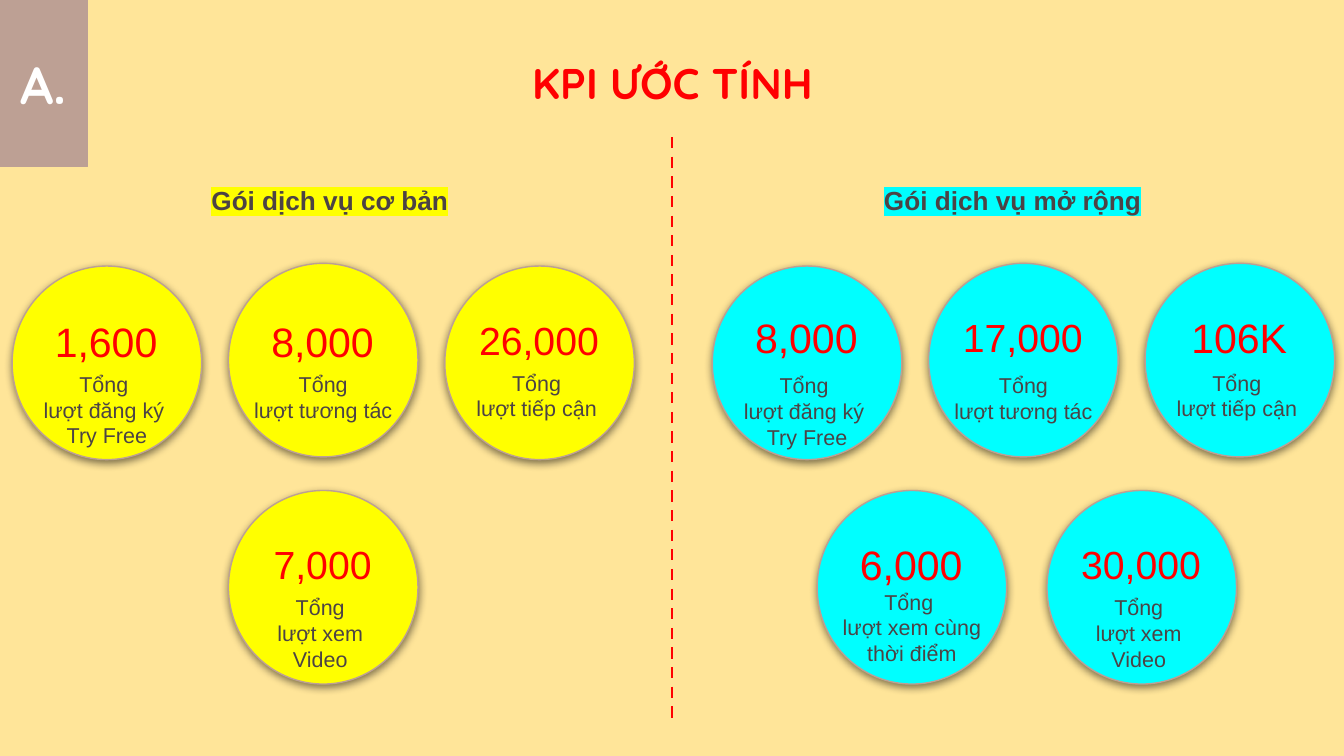
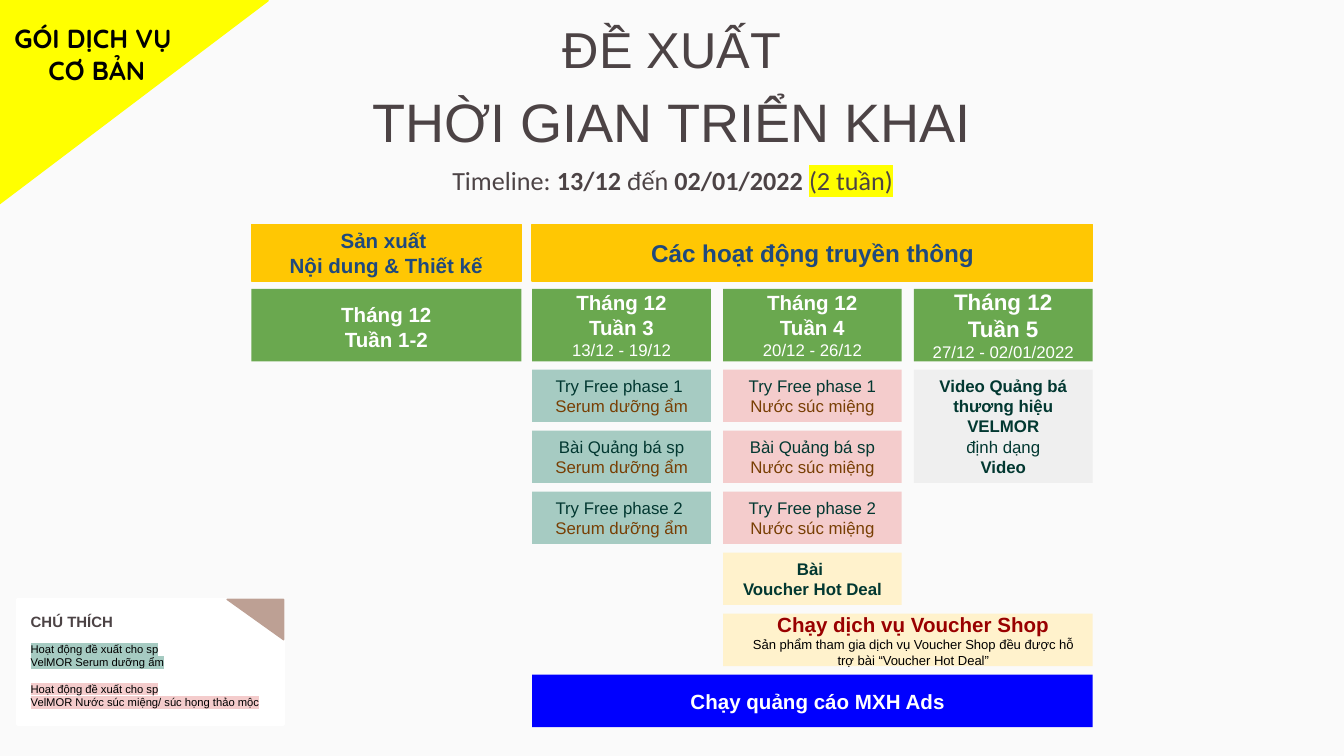
from dataclasses import dataclass
from typing import NamedTuple, Optional

from lxml import etree
from pptx import Presentation
from pptx.dml.color import RGBColor
from pptx.enum.dml import MSO_LINE
from pptx.enum.shapes import MSO_CONNECTOR, MSO_SHAPE
from pptx.enum.text import MSO_ANCHOR, MSO_AUTO_SIZE, PP_ALIGN
from pptx.oxml.ns import qn
from pptx.util import Inches, Pt

COLORS = {
    "cream": "FFE599", "paper": "FAFAFA", "taupe": "BDA094", "ink": "4C4345",
    "red": "FF0000", "yellow": "FFFF00", "cyan": "00FFFF", "white": "FFFFFF",
    "black": "000000", "gold": "FFC703", "navy": "1F497D", "green": "6AA84F",
    "teal": "A6CBC2", "pink": "F4CCCC", "gray": "EFEFEF", "sand": "FFF2CC",
    "forest": "023831", "brown": "783F04", "maroon": "990000", "blue": "0000FF",
}
HEADING_FONT = "Quicksand"
INSET = Inches(0.1)

CIRCLE_WIDTH, CIRCLE_HEIGHT = 1.41, 1.44
CIRCLE_STEP = 1.61

COLUMN_LEFT, COLUMN_WIDTH, COLUMN_STEP = 3.96, 1.33, 1.42
ROW_TOP, ROW_BOTTOM, ROW_COUNT, ROW_HEIGHT = 2.75, 5.02, 6, 0.39
ROW_STEP = (ROW_BOTTOM - ROW_TOP) / (ROW_COUNT - 1)
PRODUCTION_LEFT, PRODUCTION_WIDTH = 1.87, 2.01
BANNER_TOP, BANNER_HEIGHT = 1.67, 0.42
WEEK_TOP, WEEK_HEIGHT = 2.15, 0.54


class Box(NamedTuple):
    left: float
    top: float
    width: float
    height: float

    def lengths(self) -> list:
        return [Inches(value) for value in self]


@dataclass
class Line:
    """One paragraph of text with its look."""
    text: str
    size: float
    color: str
    bold: bool = False
    font: str = "Arial"
    highlight: Optional[str] = None
    space_before: float = 0
    spacing: Optional[float] = None
    indent: float = 0


@dataclass
class Kpi:
    """A circle with a value and a caption."""
    left: float
    top: float
    fill: str
    value: str
    value_size: float
    value_top: float
    caption: str
    caption_top: float


def rgb(color: str) -> RGBColor:
    return RGBColor.from_string(COLORS[color])


def format_run(run, line: Line) -> None:
    run.font.size = Pt(line.size)
    run.font.bold = line.bold
    run.font.name = line.font
    run.font.color.rgb = rgb(line.color)
    if line.highlight:
        highlight = etree.Element(qn("a:highlight"))
        etree.SubElement(highlight, qn("a:srgbClr"), val=COLORS[line.highlight])
        run.font._element.find(qn("a:solidFill")).addnext(highlight)


def write(shape, lines: list[Line], anchor=MSO_ANCHOR.MIDDLE, align=PP_ALIGN.CENTER) -> None:
    frame = shape.text_frame
    frame.text = "\n".join(line.text for line in lines)
    frame.word_wrap = True
    frame.auto_size = MSO_AUTO_SIZE.NONE
    frame.vertical_anchor = anchor
    frame.margin_left = frame.margin_right = INSET
    frame.margin_top = frame.margin_bottom = INSET
    for paragraph, line in zip(frame.paragraphs, lines):
        paragraph.alignment = align
        if line.space_before:
            paragraph.space_before = Pt(line.space_before)
        if line.spacing:
            paragraph.line_spacing = line.spacing
        if line.indent:
            properties = paragraph._p.get_or_add_pPr()
            properties.set("marL", str(Inches(line.indent)))
            properties.set("indent", "0")
        for run in paragraph.runs:
            format_run(run, line)


def add_text(slide, box: Box, lines: list[Line], anchor=MSO_ANCHOR.TOP):
    shape = slide.shapes.add_textbox(*box.lengths())
    write(shape, lines, anchor)
    return shape


def add_block(slide, box: Box, fill: str, lines: Optional[list[Line]] = None,
              border: Optional[str] = None, border_width: float = 0.75,
              kind=MSO_SHAPE.RECTANGLE, rotation: float = 0, anchor=MSO_ANCHOR.MIDDLE):
    shape = slide.shapes.add_shape(kind, *box.lengths())
    shape.shadow.inherit = False
    shape.rotation = rotation
    shape.fill.solid()
    shape.fill.fore_color.rgb = rgb(fill)
    if border:
        shape.line.color.rgb = rgb(border)
        shape.line.width = Pt(border_width)
    else:
        shape.line.fill.background()
    if lines:
        write(shape, lines, anchor)
    return shape


def add_slide(presentation, background: str, title_box: Box, title: list[Line]):
    slide = presentation.slides.add_slide(presentation.slide_layouts[5])
    slide.background.fill.solid()
    slide.background.fill.fore_color.rgb = rgb(background)
    shape = slide.shapes.title
    shape.left, shape.top, shape.width, shape.height = title_box.lengths()
    write(shape, title)
    return slide


def add_soft_shadow(shape) -> None:
    effects = shape._element.spPr.find(qn("a:effectLst"))
    shadow = etree.SubElement(effects, qn("a:outerShdw"), blurRad=str(Pt(4.5)),
                              dist=str(Pt(1.5)), dir="5400000", algn="bl", rotWithShape="0")
    color = etree.SubElement(shadow, qn("a:srgbClr"), val=COLORS["black"])
    etree.SubElement(color, qn("a:alpha"), val="50000")


def add_kpi(slide, kpi: Kpi) -> None:
    circle = add_block(slide, Box(kpi.left, kpi.top, CIRCLE_WIDTH, CIRCLE_HEIGHT),
                       kpi.fill, border="taupe", kind=MSO_SHAPE.OVAL)
    add_soft_shadow(circle)
    add_text(slide, Box(kpi.left + 0.09, kpi.value_top, 1.22, 0.57),
             [Line(kpi.value, kpi.value_size, "red")], MSO_ANCHOR.MIDDLE)
    captions = [Line(text, 11.5, "ink") for text in kpi.caption.split("\n")]
    add_text(slide, Box(kpi.left, kpi.caption_top, CIRCLE_WIDTH,
                        0.59 if "\nlượt t" in kpi.caption else 0.78), captions)


def build_kpi_slide(presentation) -> None:
    slide = add_slide(presentation, "cream", Box(3.42, 0.21, 3.17, 0.81),
                      [Line("KPI ƯỚC TÍNH", 23, "red", True, HEADING_FONT)])
    add_block(slide, Box(0, 0, 0.65, 1.24), "taupe",
              [Line("A.", 28, "white", True, HEADING_FONT)], border="taupe")
    for left, text, color in ((1.02, "Gói dịch vụ cơ bản", "yellow"),
                              (6.1, "Gói dịch vụ mở rộng", "cyan")):
        add_text(slide, Box(left, 1.27, 2.87, 0.44),
                 [Line(text, 14, "ink", True, highlight=color)])

    divider = slide.shapes.add_connector(MSO_CONNECTOR.STRAIGHT, Inches(5), Inches(1.02),
                                         Inches(5), Inches(5.34))
    divider.line.color.rgb = rgb("red")
    divider.line.width = Pt(1.5)
    divider.line.dash_style = MSO_LINE.DASH
    etree.SubElement(divider._element.spPr, qn("a:effectLst"))

    signups = "Tổng \nlượt đăng ký \nTry Free"
    interactions = "Tổng\nlượt tương tác"
    reach = "Tổng \nlượt tiếp cận "
    video_views = "Tổng \nlượt xem \nVideo "
    live_views = "Tổng \nlượt xem cùng thời điểm"
    basic, extended = 0.09, 5.3
    for kpi in (
        Kpi(basic, 1.98, "yellow", "1,600", 22, 2.25, signups, 2.66),
        Kpi(basic + CIRCLE_STEP, 1.96, "yellow", "8,000", 22, 2.25, interactions, 2.66),
        Kpi(basic + 2 * CIRCLE_STEP, 1.98, "yellow", "26,000", 21, 2.24, reach, 2.65),
        Kpi(basic + CIRCLE_STEP, 3.65, "yellow", "7,000", 21, 3.91, video_views, 4.32),
        Kpi(extended, 1.98, "cyan", "8,000", 22, 2.22, signups, 2.67),
        Kpi(extended + CIRCLE_STEP, 1.96, "cyan", "17,000", 21, 2.22, interactions, 2.67),
        Kpi(extended + 2 * CIRCLE_STEP, 1.96, "cyan", "106K", 22, 2.22, reach, 2.65),
        Kpi(6.08, 3.65, "cyan", "6,000", 22, 3.91, live_views, 4.28),
        Kpi(7.79, 3.65, "cyan", "30,000", 21, 3.91, video_views, 4.32),
    ):
        add_kpi(slide, kpi)


def schedule_box(column: int, row: int, columns: int = 1, rows: int = 1) -> Box:
    return Box(COLUMN_LEFT + column * COLUMN_STEP, ROW_TOP + row * ROW_STEP,
               COLUMN_WIDTH + (columns - 1) * COLUMN_STEP,
               ROW_HEIGHT + (rows - 1) * ROW_STEP)


def add_headers(slide) -> None:
    add_block(slide, Box(PRODUCTION_LEFT, BANNER_TOP, PRODUCTION_WIDTH, BANNER_HEIGHT), "gold",
              [Line("Sản xuất ", 11, "navy", True),
               Line("Nội dung & Thiết kế", 11, "navy", True)], border="gold")
    add_block(slide, Box(COLUMN_LEFT, BANNER_TOP, schedule_box(0, 0, 3).width, BANNER_HEIGHT),
              "gold", [Line("Các hoạt động truyền thông", 13, "navy", True)], border="gold")
    add_block(slide, Box(PRODUCTION_LEFT, WEEK_TOP, PRODUCTION_WIDTH, WEEK_HEIGHT), "green",
              [Line(text, 11, "white", True) for text in ("Tháng 12", "Tuần 1-2")],
              anchor=MSO_ANCHOR.TOP)
    weeks = (("Tuần 3", "13/12 - 19/12", 11), ("Tuần 4", "20/12 - 26/12", 11),
             ("Tuần 5", "27/12 - 02/01/2022", 12))
    for column, (week, dates, size) in enumerate(weeks):
        add_block(slide, Box(schedule_box(column, 0).left, WEEK_TOP, COLUMN_WIDTH, WEEK_HEIGHT),
                  "green", [Line("Tháng 12", size, "white", True),
                            Line(week, size, "white", True), Line(dates, 9, "white")])


def add_activities(slide) -> None:
    products = (
        ("Serum dưỡng ẩm", "teal", ("Try Free phase 1 ", "Bài Quảng bá sp", "Try Free phase 2 ")),
        ("Nước súc miệng", "pink", ("Try Free phase 1", "Bài Quảng bá sp", "Try Free phase 2")),
    )
    for column, (product, fill, activities) in enumerate(products):
        for row, activity in enumerate(activities):
            add_block(slide, schedule_box(column, row), fill,
                      [Line(activity, 9, "forest"), Line(product, 9, "brown")])
    add_block(slide, schedule_box(2, 0, rows=2), "gray",
              [Line("Video Quảng bá thương hiệu VELMOR", 9, "forest", True),
               Line("định dạng", 9, "forest"), Line("Video", 9, "forest", True)])
    add_block(slide, schedule_box(1, 3), "sand",
              [Line("Bài ", 9, "forest", True), Line("Voucher Hot Deal", 9, "forest", True)])
    add_block(slide, schedule_box(1, 4, columns=2), "sand",
              [Line("Chạy dịch vụ Voucher Shop", 11, "maroon", True, indent=0.08),
               Line("Sản phẩm tham gia dịch vụ Voucher Shop đều được hỗ trợ bài "
                    "“Voucher Hot Deal”", 7, "black", indent=0.08)])
    add_block(slide, schedule_box(0, 5, columns=3), "blue",
              [Line("Chạy quảng cáo MXH Ads", 11, "white", True, indent=0.08)])


def add_legend(slide) -> None:
    legend = add_block(slide, Box(0.13, 4.46, 1.98, 0.93), "white",
                       border="white", border_width=1.5)
    write(legend, [
        Line("CHÚ THÍCH", 8, "ink", True),
        Line("Hoạt động đề xuất cho sp", 6, "black", highlight="teal", space_before=6),
        Line("VelMOR Serum dưỡng ẩm", 6, "black", highlight="teal"),
        Line("Hoạt động đề xuất cho sp", 6, "black", highlight="pink", space_before=7),
        Line("VelMOR Nước súc miệng/ súc họng thảo mộc", 6, "black", highlight="pink"),
    ], MSO_ANCHOR.TOP, PP_ALIGN.LEFT)
    add_block(slide, Box(1.69, 4.46, 0.42, 0.3), "taupe", border="taupe",
              kind=MSO_SHAPE.RIGHT_TRIANGLE, rotation=180)


def add_timeline(slide) -> None:
    shape = add_text(slide, Box(1.87, 1.12, 6.27, 0.44),
                     [Line("Timeline: ", 14, "ink", font="Calibri")])
    paragraph = shape.text_frame.paragraphs[0]
    for text, bold, highlight in (("13/12", True, None), (" đến ", False, None),
                                  ("02/01/2022 ", True, None), ("(2 tuần)", False, "yellow")):
        run = paragraph.add_run()
        run.text = text
        format_run(run, Line(text, 14, "ink", bold, "Calibri", highlight))


def build_schedule_slide(presentation) -> None:
    slide = add_slide(presentation, "paper", Box(0, 0.26, 10, 0.69),
                      [Line("ĐỀ XUẤT", 27, "ink", spacing=1.15),
                       Line("THỜI GIAN TRIỂN KHAI", 29, "ink", spacing=1.15)])
    add_block(slide, Box(0.23, -0.24, 1.52, 2.01), "yellow", border="yellow",
              kind=MSO_SHAPE.RIGHT_TRIANGLE, rotation=90)
    add_text(slide, Box(-0.04, 0.07, 1.52, 0.67),
             [Line(text, 14, "black", True, HEADING_FONT) for text in ("GÓI DỊCH VỤ ", "CƠ BẢN")])
    add_timeline(slide)
    add_headers(slide)
    add_activities(slide)
    add_legend(slide)


def main() -> None:
    presentation = Presentation()
    presentation.slide_width = Inches(10)
    presentation.slide_height = Inches(10 * 9 / 16)
    build_kpi_slide(presentation)
    build_schedule_slide(presentation)
    presentation.save("out.pptx")


if __name__ == "__main__":
    main()
